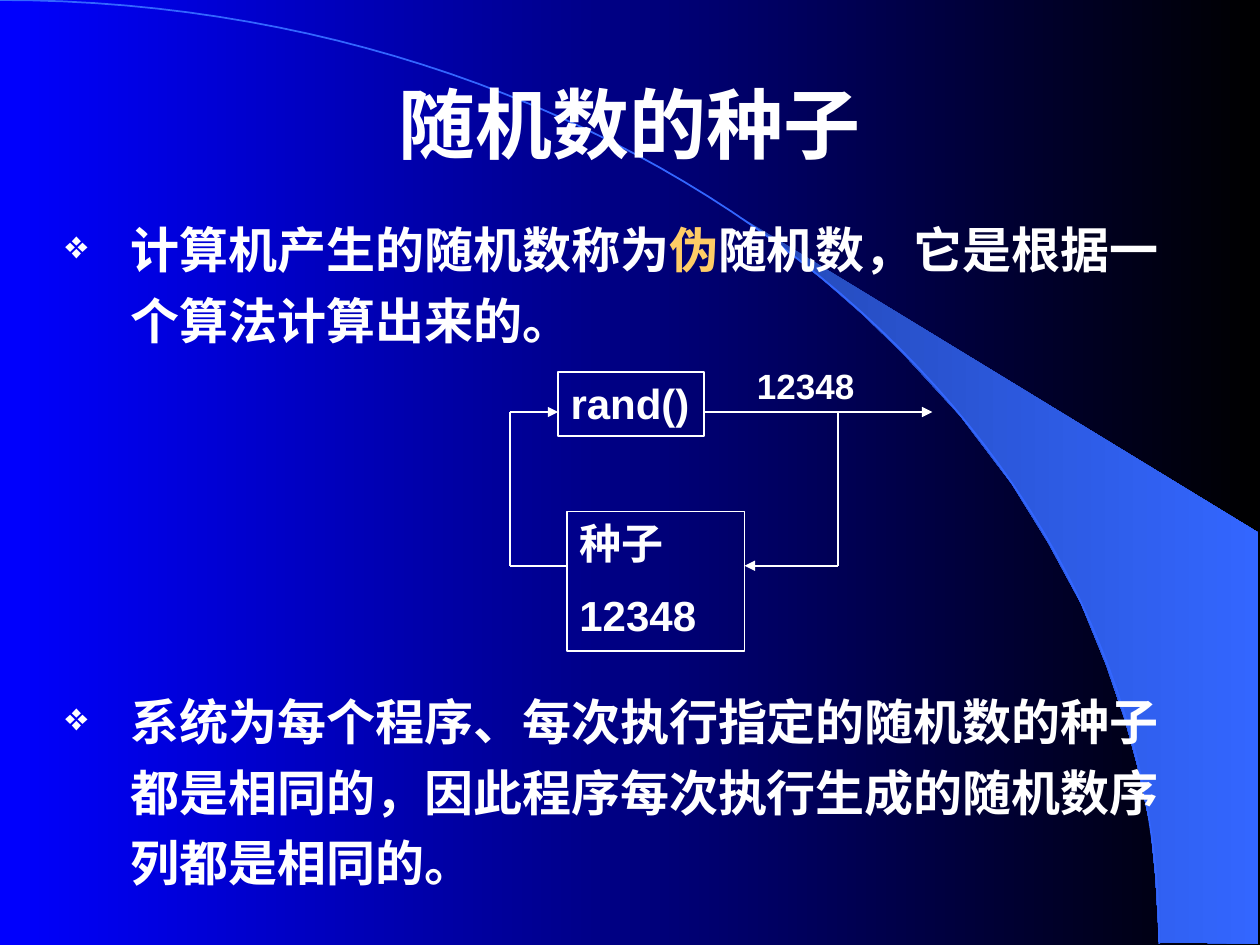
"""Build the slide about the seed of a random number generator."""
from dataclasses import dataclass

from lxml import etree
from pptx import Presentation
from pptx.dml.color import RGBColor
from pptx.dml.fill import FillFormat
from pptx.enum.shapes import MSO_CONNECTOR, MSO_SHAPE
from pptx.enum.text import MSO_ANCHOR, PP_ALIGN
from pptx.oxml.ns import qn
from pptx.shapes.autoshape import Shape
from pptx.slide import Slide
from pptx.text.text import TextFrame
from pptx.util import Inches, Pt

STRAIGHT = MSO_CONNECTOR.STRAIGHT
RECTANGLE = MSO_SHAPE.RECTANGLE
TOP, MIDDLE = MSO_ANCHOR.TOP, MSO_ANCHOR.MIDDLE
LEFT, CENTER = PP_ALIGN.LEFT, PP_ALIGN.CENTER

Point = tuple[float, float]


@dataclass(frozen=True)
class Theme:
    white: str = "FFFFFF"
    accent: str = "FFCC66"
    arc: str = "3366FF"
    background: tuple[str, str] = ("0000FF", "000000")
    beam: tuple[str, str] = ("2449B6", "3366FF")
    heading_font: str = "Arial"
    body_font: str = "Times New Roman"
    title_size: int = 44
    body_size: int = 28
    box_size: int = 24
    label_size: int = 20
    line_width: int = 1


@dataclass(frozen=True)
class Label:
    left: float
    top: float
    width: float
    height: float
    lines: tuple[str, ...]
    size: int
    outlined: bool = False
    align: PP_ALIGN = LEFT
    anchor: MSO_ANCHOR = TOP


@dataclass(frozen=True)
class Link:
    start: Point
    end: Point
    arrow: bool = False


@dataclass(frozen=True)
class Bullet:
    runs: tuple[tuple[str, str], ...]
    space_before: float


THEME = Theme()
UPPER, LOWER = 3.27, 4.49
LOOP_LEFT, LOOP_RIGHT = 4.05, 6.65

LABELS = (
    Label(0.75, 0.35, 8.5, 1.25, ("随机数的种子",), THEME.title_size, align=CENTER, anchor=MIDDLE),
    Label(4.43, 2.95, 1.16, 0.51, ("rand()",), THEME.box_size, outlined=True),
    Label(4.5, 4.06, 1.41, 1.11, ("种子", "12348"), THEME.box_size, outlined=True),
    Label(5.91, 2.84, 1.2, 0.43, ("12348",), THEME.label_size),
)
LINKS = (
    Link((LOOP_LEFT, LOWER), (4.5, LOWER)),
    Link((LOOP_LEFT, UPPER), (LOOP_LEFT, LOWER)),
    Link((LOOP_LEFT, UPPER), (4.43, UPPER), arrow=True),
    Link((5.59, UPPER), (7.4, UPPER), arrow=True),
    Link((LOOP_RIGHT, UPPER), (LOOP_RIGHT, LOWER)),
    Link((LOOP_RIGHT, LOWER), (5.91, LOWER), arrow=True),
)
BULLETS = (
    Bullet((("计算机产生的随机数称为", THEME.white), ("伪", THEME.accent),
            ("随机数，它是根据一个算法计算出来的。", THEME.white)), 5.6),
    Bullet((("系统为每个程序、每次执行指定的随机数的种子都是相同的，"
             "因此程序每次执行生成的随机数序列都是相同的。", THEME.white),), 189),
)
BEAM = (
    (9.2, 7.48), (9.99, 7.49), (9.99, 4.23), (5.89, 1.73), (6.24, 1.99), (6.53, 2.22),
    (6.85, 2.5), (7.16, 2.8), (7.62, 3.3), (8.03, 3.84), (8.32, 4.31), (8.58, 4.79),
    (8.78, 5.28), (8.93, 5.72), (9.03, 6.09), (9.13, 6.56), (9.17, 6.96),
)
ARC_CONTROLS = ((0, 0), (5.08, 0), (9.2, 3.35), (9.2, 7.49))


def color(value: str) -> RGBColor:
    return RGBColor.from_string(value)


def apply_gradient(fill: FillFormat, colors: tuple[str, str]) -> None:
    fill.gradient()
    fill.gradient_angle = 0
    for stop, position, value in zip(fill.gradient_stops, (0, 1), colors):
        stop.position = position
        stop.color.rgb = color(value)


def curve_point(step: float) -> Point:
    rest = 1 - step
    weights = (rest ** 3, 3 * rest ** 2 * step, 3 * rest * step ** 2, step ** 3)
    x, y = (sum(w * c[axis] for w, c in zip(weights, ARC_CONTROLS)) for axis in (0, 1))
    return x, y


def add_outline(slide: Slide, points: tuple[Point, ...], close: bool) -> Shape:
    vertices = [(Inches(x), Inches(y)) for x, y in points]
    builder = slide.shapes.build_freeform(*vertices[0])
    builder.add_line_segments(vertices[1:], close=close)
    shape = builder.convert_to_shape()
    shape.shadow.inherit = False
    return shape


def set_line(shape, value: str) -> None:
    shape.line.color.rgb = color(value)
    shape.line.width = Pt(THEME.line_width)


def add_run(paragraph, text: str, font: str, size: int, value: str) -> None:
    run = paragraph.add_run()
    run.text = text
    for name, setting in {"name": font, "size": Pt(size), "bold": True}.items():
        setattr(run.font, name, setting)
    run.font.color.rgb = color(value)


def next_paragraph(frame: TextFrame, index: int):
    return frame.add_paragraph() if index else frame.paragraphs[0]


def add_label(slide: Slide, label: Label) -> None:
    area = [Inches(v) for v in (label.left, label.top, label.width, label.height)]
    if label.outlined:
        shape = slide.shapes.add_shape(RECTANGLE, *area)
        shape.shadow.inherit = False
        shape.fill.background()
        set_line(shape, THEME.white)
    else:
        shape = slide.shapes.add_textbox(*area)
    frame = shape.text_frame
    for name, setting in {"word_wrap": True, "vertical_anchor": label.anchor}.items():
        setattr(frame, name, setting)
    for index, text in enumerate(label.lines):
        paragraph = next_paragraph(frame, index)
        paragraph.alignment = label.align
        paragraph.space_before = Pt(label.size / 2 if index else 0)
        add_run(paragraph, text, THEME.heading_font, label.size, THEME.white)


def add_bullets(slide: Slide) -> None:
    frame = slide.shapes.add_textbox(*map(Inches, (0.42, 1.6, 9.21, 5.62))).text_frame
    frame.word_wrap = True
    for index, bullet in enumerate(BULLETS):
        paragraph = next_paragraph(frame, index)
        settings = {"line_spacing": 1.2, "space_before": Pt(bullet.space_before)}
        for name, setting in settings.items():
            setattr(paragraph, name, setting)
        properties = paragraph._p.get_or_add_pPr()
        properties.set("marL", str(Inches(0.52)))
        properties.set("indent", str(Inches(-0.52)))
        marker = etree.SubElement(properties, qn("a:buClr"))
        etree.SubElement(marker, qn("a:srgbClr"), val=THEME.white)
        etree.SubElement(properties, qn("a:buSzPct"), val="80000")
        etree.SubElement(properties, qn("a:buChar"), char="❖")
        for text, value in bullet.runs:
            add_run(paragraph, text, THEME.body_font, THEME.body_size, value)


def add_link(slide: Slide, link: Link) -> None:
    ends = [Inches(v) for v in (*link.start, *link.end)]
    connector = slide.shapes.add_connector(STRAIGHT, *ends)
    set_line(connector, THEME.white)
    if link.arrow:
        etree.SubElement(connector.line._get_or_add_ln(), qn("a:tailEnd"), type="triangle")
    etree.SubElement(connector._element.spPr, qn("a:effectLst"))


def main() -> None:
    presentation = Presentation()
    presentation.slide_width, presentation.slide_height = Inches(10), Inches(7.5)
    slide = presentation.slides.add_slide(presentation.slide_layouts[6])
    apply_gradient(slide.background.fill, THEME.background)
    beam = add_outline(slide, BEAM, close=True)
    apply_gradient(beam.fill, THEME.beam)
    beam.line.fill.background()
    arc = add_outline(slide, tuple(curve_point(i / 60) for i in range(61)), close=False)
    arc.fill.background()
    set_line(arc, THEME.arc)
    add_bullets(slide)
    for label in LABELS:
        add_label(slide, label)
    for link in LINKS:
        add_link(slide, link)
    presentation.save("out.pptx")


main()
